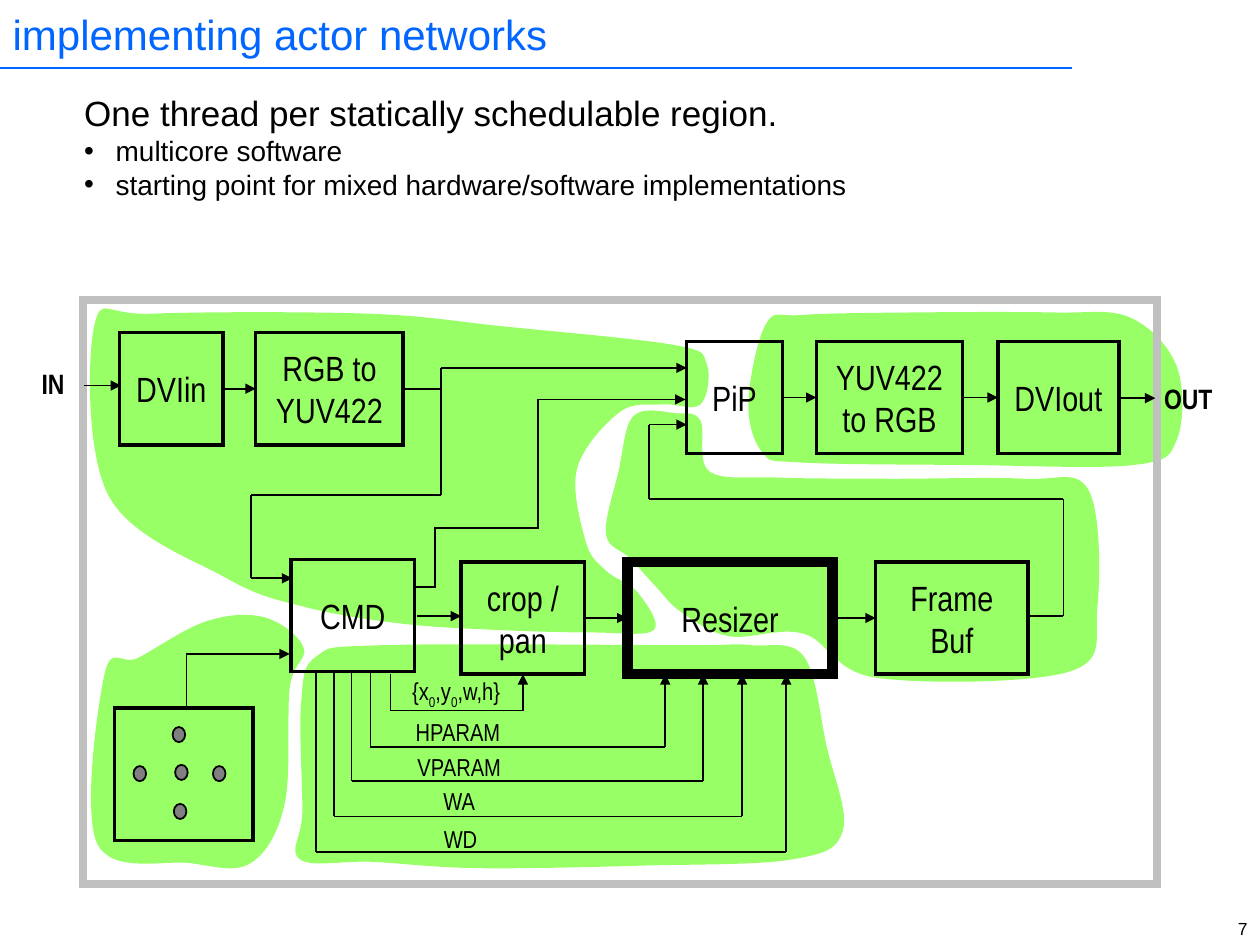
from lxml import etree
from pptx import Presentation
from pptx import util as u
from pptx.dml.color import RGBColor
from pptx.enum import shapes, text
from pptx.oxml.ns import qn

PX = 9144
COLORS = {"blue": "0066FF", "green": "99FF66", "black": "000000",
          "silver": "C0C0C0", "gray": "808080"}
BOTTOM, LEFT, RIGHT = 2, 1, 3
ALIGN = text.PP_ALIGN

REGIONS = [
    [(608, 257), (594, 319), (605, 359), (635, 367), (766, 369), (900, 369),
     (934, 349), (934, 291), (897, 252), (836, 248), (724, 248), (636, 250)],
    [(481, 424), (500, 443), (521, 466), (541, 486), (579, 505), (638, 503),
     (696, 538), (849, 533), (871, 482), (864, 389), (813, 380), (706, 380),
     (616, 379), (563, 374), (556, 334), (537, 328), (503, 330), (491, 374)],
    [(83, 535), (77, 669), (151, 685), (199, 685), (226, 638), (230, 546),
     (241, 514), (210, 490), (164, 493), (110, 522)],
    [(543, 512), (305, 512), (251, 521), (239, 558), (240, 644), (238, 682),
     (296, 684), (379, 689), (509, 687), (629, 682), (669, 659), (656, 592),
     (638, 521), (596, 512)],
    [(75, 258), (86, 393), (180, 459), (243, 482), (319, 495), (395, 500),
     (471, 502), (519, 500), (506, 470), (481, 453), (465, 430), (458, 372),
     (492, 327), (526, 321), (556, 321), (561, 289), (536, 274), (399, 259),
     (293, 249), (120, 249)],
]
ACTORS = [
    ("DVIin", 95, 264, 82), ("RGB to\nYUV422", 203, 264, 117),
    ("PiP", 545, 271, 76), ("YUV422 to RGB", 648, 271, 116),
    ("DVIout", 792, 271, 96), ("CMD", 231, 444, 98),
    ("crop /\npan", 366, 446, 98), ("Resizer", 498, 446, 163),
    ("Frame\nBuf", 695, 446, 121),
]
PARAMS = [
    ("HPARAM", 294, 593, 528, 311, 564), ("VPARAM", 279, 620, 558, 312, 592),
    ("WA", 265, 648, 589, 312, 619), ("WD", 251, 676, 624, 313, 649),
]


def px(*vals):
    """Turn px lengths into EMU."""
    return [u.Emu(round(v * PX)) for v in vals]


def rgb(name):
    """Look up a named colour."""
    return RGBColor.from_string(COLORS[name])


def style(shape, fill=None, line=None, width=1):
    """Set the fill and outline of a shape and drop its shadow."""
    shape.shadow.inherit = False
    if fill:
        shape.fill.solid()
        shape.fill.fore_color.rgb = rgb(fill)
    else:
        shape.fill.background()
    if line:
        shape.line.color.rgb = rgb(line)
        shape.line.width = u.Pt(width)
        etree.SubElement(shape.element.spPr.find(qn("a:ln")),
                         qn("a:miter"), lim="800000")
    else:
        shape.line.fill.background()


def font(par, size, color="black", face="Arial Narrow", bold=False):
    """Format the font of a paragraph."""
    par.font.name, par.font.size, par.font.bold = face, u.Pt(size), bold
    par.font.color.rgb = rgb(color)


def arrow(shape):
    """Put an arrowhead at the far end of a line."""
    line = shape.element.spPr.find(qn("a:ln"))
    etree.SubElement(line, qn("a:tailEnd"), type="triangle")


def preset(slide, kind, box, fill=None, line="black", width=1):
    """Add a preset shape."""
    shape = slide.shapes.add_shape(kind, *px(*box))
    style(shape, fill, line, width)
    return shape


def actor(slide, name, x, y, w):
    """Add a labelled actor box."""
    shape = preset(slide, shapes.MSO_SHAPE.RECTANGLE, (x, y, w, 89),
                   width=6 if name == "Resizer" else 2)
    frame = shape.text_frame
    frame.word_wrap = True
    frame.vertical_anchor = text.MSO_ANCHOR.MIDDLE
    par = frame.paragraphs[0]
    par.text, par.alignment = name, ALIGN.CENTER
    font(par, 20)
    return shape


def label(slide, words, box, size=14, align=ALIGN.CENTER, **look):
    """Add a one-line text box and return its paragraph."""
    frame = slide.shapes.add_textbox(*px(*box)).text_frame
    frame.word_wrap = True
    par = frame.paragraphs[0]
    par.text, par.alignment = words, align
    font(par, size, **look)
    return par


def outline(slide, points, close):
    """Add a freeform through the given points."""
    points = [px(*point) for point in points]
    build = slide.shapes.build_freeform(*points[0], scale=1.0)
    build.add_line_segments(points[1:], close=close)
    return build.convert_to_shape()


def region(slide, knots):
    """Add a green region bounded by a smooth closed curve."""
    def lean(p, a, b, sign):
        return [p[k] + sign * (b[k] - a[k]) / 6 for k in (0, 1)]

    count = len(knots)
    points = [knots[0]]
    for i in range(count):
        a, b, c, d = (knots[(i + k) % count] for k in (-1, 0, 1, 2))
        points += [lean(b, a, c, 1), lean(c, b, d, -1), c]
    shape = outline(slide, points, True)
    legs = list(shape.element.iter(qn("a:lnTo")))
    for first, second, third in zip(legs[::3], legs[1::3], legs[2::3]):
        first.tag = qn("a:cubicBezTo")
        for leg in (second, third):
            first.append(leg[0])
            leg.getparent().remove(leg)
    style(shape, "green")


def wire(slide, points, start=None, end=None, head=True, color="black"):
    """Add a chain of straight connectors, joined to boxes at its ends."""
    for a, b in zip(points, points[1:]):
        link = slide.shapes.add_connector(
            shapes.MSO_CONNECTOR.STRAIGHT, *px(*a, *b))
        link.line.color.rgb = rgb(color)
        link.line.width = u.Pt(1)
        etree.SubElement(link.element.spPr, qn("a:effectLst"))
        if start and a == points[0]:
            link.begin_connect(*start)
    if end:
        link.end_connect(*end)
    if head:
        arrow(link)


def heading(slide):
    """Fill the title and rule a line below it."""
    title = slide.shapes.title
    title.left, title.top, title.width, title.height = px(0, 0, 865, 53)
    frame = title.text_frame
    frame.auto_size = text.MSO_AUTO_SIZE.NONE
    frame.vertical_anchor = text.MSO_ANCHOR.MIDDLE
    par = frame.paragraphs[0]
    par.text, par.alignment = "implementing actor networks", ALIGN.LEFT
    font(par, 24, "blue", "Arial")
    wire(slide, [(0, 54), (851, 54)], head=False, color="blue")


def intro(slide):
    """Add the statement and its two bullets."""
    frame = slide.shapes.add_textbox(*px(57, 68, 625, 97)).text_frame
    frame.word_wrap = False
    lines = ["One thread per statically schedulable region.",
             "multicore software",
             "starting point for mixed hardware/software implementations"]
    for i, words in enumerate(lines):
        par = frame.add_paragraph() if i else frame.paragraphs[0]
        par.text = words
        props = par._p.get_or_add_pPr()
        props.set("marL", str(25 * PX))
        props.set("indent", str(-25 * PX))
        if i:
            etree.SubElement(props, qn("a:buFont"), typeface="Arial")
            etree.SubElement(props, qn("a:buChar"), char="•")
        font(par, 16 if i else 20, face="Arial")


def keypad(slide):
    """Add the keypad box with its five keys."""
    preset(slide, shapes.MSO_SHAPE.RECTANGLE, (91, 562, 110, 105), width=2)
    for x, y in [(139, 607), (137, 577), (138, 638), (169, 608), (106, 608)]:
        preset(slide, shapes.MSO_SHAPE.OVAL, (x, y, 10, 12), "gray")


def wiring(slide, box):
    """Connect the actors."""
    for a, b in [("DVIin", "RGB to\nYUV422"), ("PiP", "YUV422 to RGB"),
                 ("YUV422 to RGB", "DVIout"), ("crop /\npan", "Resizer"),
                 ("Resizer", "Frame\nBuf")]:
        wire(slide, [(0, 0), (1, 1)], (box[a], RIGHT), (box[b], LEFT))
    for y, left, right in [(306, 67, 96), (489, 331, 366), (316, 888, 917),
                           (292, 350, 545)]:
        wire(slide, [(left, y), (right, y)])
    wire(slide, [(320, 309), (350, 309)], head=False)
    wire(slide, [(350, 292), (350, 393), (199, 393), (199, 459), (232, 459)])
    wire(slide, [(816, 489), (844, 489), (844, 396), (515, 396), (515, 337),
                 (545, 337)])
    wire(slide, [(148, 562), (148, 519), (230, 519)])
    wire(slide, [(310, 535), (310, 564), (415, 564), (415, 535)],
         end=(box["crop /\npan"], BOTTOM))
    for name, x, y, goal, left, top in PARAMS:
        wire(slide, [(x, 533), (x, y), (goal, y), (goal, 535)])
        label(slide, name, (left, top, 105, 34))
    feed = outline(slide, [(329, 466), (345, 466), (345, 419), (427, 419),
                           (427, 317), (544, 317)], False)
    style(feed, line="black")
    arrow(feed)


def main():
    """Build the slide and save it."""
    deck = Presentation()
    deck.slide_width, deck.slide_height = px(1000, 750)
    slide = deck.slides.add_slide(deck.slide_layouts[5])
    heading(slide)
    for knots in REGIONS:
        region(slide, knots)
    preset(slide, shapes.MSO_SHAPE.RECTANGLE, (66, 238, 852, 464),
           line="silver", width=4.5)
    box = {row[0]: actor(slide, *row) for row in ACTORS}
    wiring(slide, box)
    keypad(slide)
    crop = label(slide, "", (311, 532, 102, 37))
    for words in ["{x", "0", ",y", "0", ",w,h}"]:
        run = crop.add_run()
        run.text = words
        if words == "0":
            run._r.get_or_add_rPr().set("baseline", "-25000")
    label(slide, "OUT", (914, 298, 64, 37), 16, ALIGN.LEFT, bold=True)
    label(slide, "IN", (15, 286, 46, 37), 16, ALIGN.RIGHT, bold=True)
    intro(slide)
    label(slide, "7", (907, 724, 93, 23), 10, ALIGN.RIGHT, face="Arial")
    deck.save("out.pptx")


if __name__ == "__main__":
    main()
